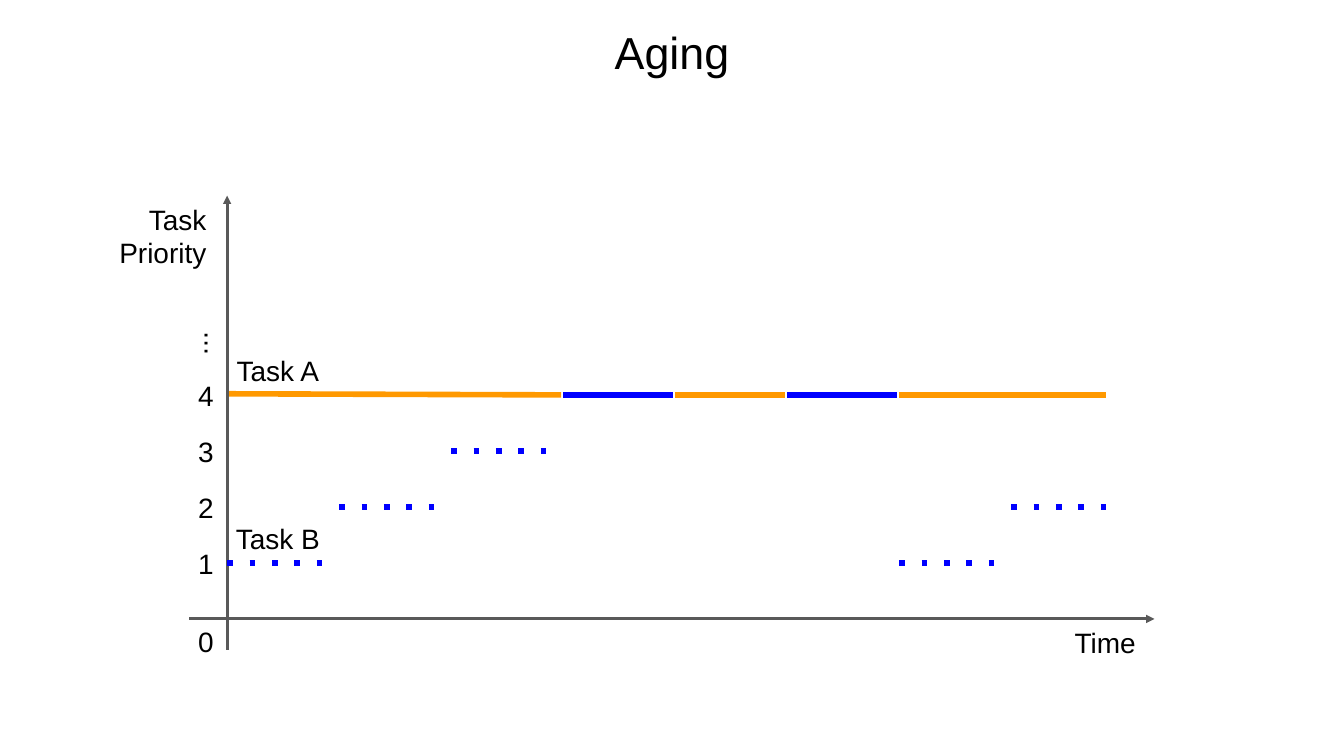
from lxml.etree import SubElement
from pptx import Presentation
from pptx.dml.color import RGBColor
from pptx.enum.shapes import MSO_CONNECTOR
from pptx.enum.text import MSO_ANCHOR, MSO_AUTO_SIZE, PP_ALIGN
from pptx.oxml.ns import qn
from pptx.util import Inches, Pt

COLORS = {"text": "000000", "axis": "595959", "task_a": "FF9900", "task_b": "0000FF"}
ORIGIN_X, ORIGIN_Y = 3.38, 9.21
SLOT = 5 / 3
STEP = 2.5 / 3
GAP = 0.03


def rgb(name):
    return RGBColor.from_string(COLORS[name])


def slot_x(slot):
    return ORIGIN_X + slot * SLOT


def level_y(priority):
    return ORIGIN_Y - priority * STEP


def add_line(s, start, end, color, width, dash=None, arrow=False):
    line = s.shapes.add_connector(
        MSO_CONNECTOR.STRAIGHT, *(Inches(v) for v in (*start, *end)))
    line.line.color.rgb = rgb(color)
    line.line.width = Pt(width)
    ln = line.line._get_or_add_ln()
    if dash:
        SubElement(ln, qn("a:prstDash"), val=dash)
    if arrow:
        SubElement(ln, qn("a:tailEnd"), type="triangle")
    SubElement(line._element.spPr, qn("a:effectLst"))


def add_run_period(s, slot, priority, color, dash=None):
    x, y = slot_x(slot), level_y(priority)
    add_line(s, (x, y), (x + SLOT - GAP, y), color, 6, dash)


def add_label(s, text, x, y, w, h=0.7, align=PP_ALIGN.RIGHT, size=30):
    sp = s.shapes.add_textbox(Inches(x), Inches(y), Inches(w), Inches(h))
    tf = sp.text_frame
    tf.word_wrap = True
    tf.auto_size = MSO_AUTO_SIZE.SHAPE_TO_FIT_TEXT
    tf.margin_left = tf.margin_right = tf.margin_top = tf.margin_bottom = Inches(0.1)
    tf.text = text
    for p in tf.paragraphs:
        p.alignment = align
        p.font.name = "Arial"
        p.font.size = Pt(size)
        p.font.color.rgb = rgb("text")
    return sp


def add_title(s, text):
    sp = add_label(s, text, 0, 0, 20, 1.54, PP_ALIGN.CENTER, 48)
    sp.text_frame.auto_size = MSO_AUTO_SIZE.NONE
    sp.text_frame.vertical_anchor = MSO_ANCHOR.MIDDLE


def add_axes(s):
    add_line(s, (ORIGIN_X, 9.67), (ORIGIN_X, 2.91), "axis", 3, arrow=True)
    add_line(s, (2.82, ORIGIN_Y), (17.18, ORIGIN_Y), "axis", 3, arrow=True)


def add_schedule(s):
    for slot, priority in ((0, 1), (1, 2), (2, 3), (6, 1), (7, 2)):
        add_run_period(s, slot, priority, "task_b", "dot")
    for slot, color in ((3, "task_b"), (4, "task_a"), (5, "task_b")):
        add_run_period(s, slot, 4, color)
    y = level_y(4)
    add_line(s, (slot_x(6), y), (16.46, y), "task_a", 6)
    add_line(s, (ORIGIN_X + GAP, 5.86), (slot_x(3) - GAP, y), "task_a", 6)


def add_labels(s):
    add_label(s, "Task\nPriority", 1.32, 2.91, 1.85, 1.2)
    add_label(s, "Time", 15.15, ORIGIN_Y, 1.85)
    for text, priority in (("Task B", 1), ("Task A", 4)):
        add_label(s, text, ORIGIN_X, level_y(priority) - 0.71, 1.51,
                  align=PP_ALIGN.CENTER)
    add_label(s, "0", 2.01, 9.19, 1.27)
    for priority in range(1, 5):
        add_label(s, str(priority), 2.01, level_y(priority) - 0.35, 1.27)
    dots = add_label(s, "...", 2.51, 4.76, 0.83, align=PP_ALIGN.CENTER)
    dots.rotation = 270


def main():
    prs = Presentation()
    prs.slide_width, prs.slide_height = Inches(20), Inches(11.25)
    s = prs.slides.add_slide(prs.slide_layouts[6])
    add_title(s, "Aging")
    add_axes(s)
    add_schedule(s)
    add_labels(s)
    prs.save("out.pptx")


if __name__ == "__main__":
    main()
